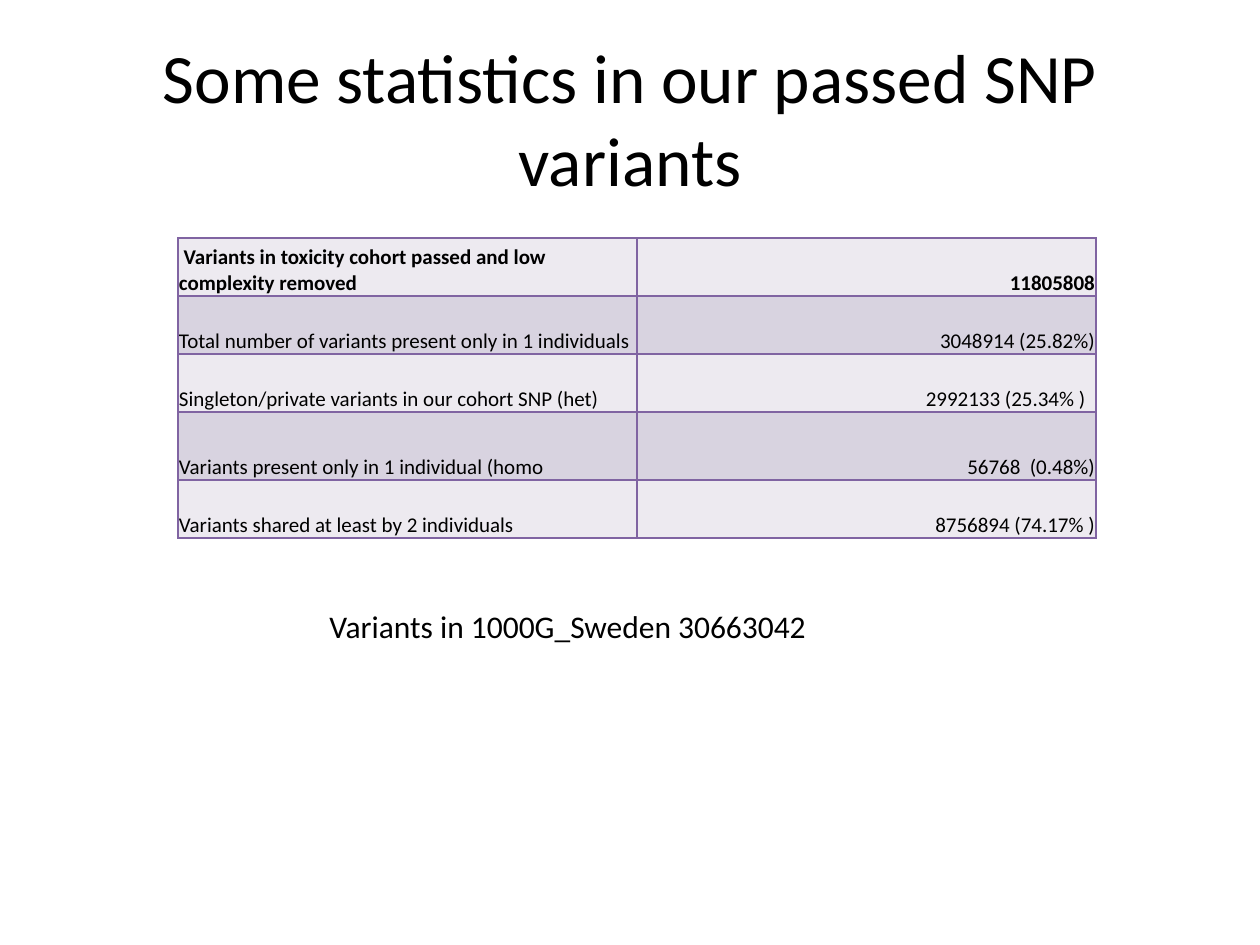
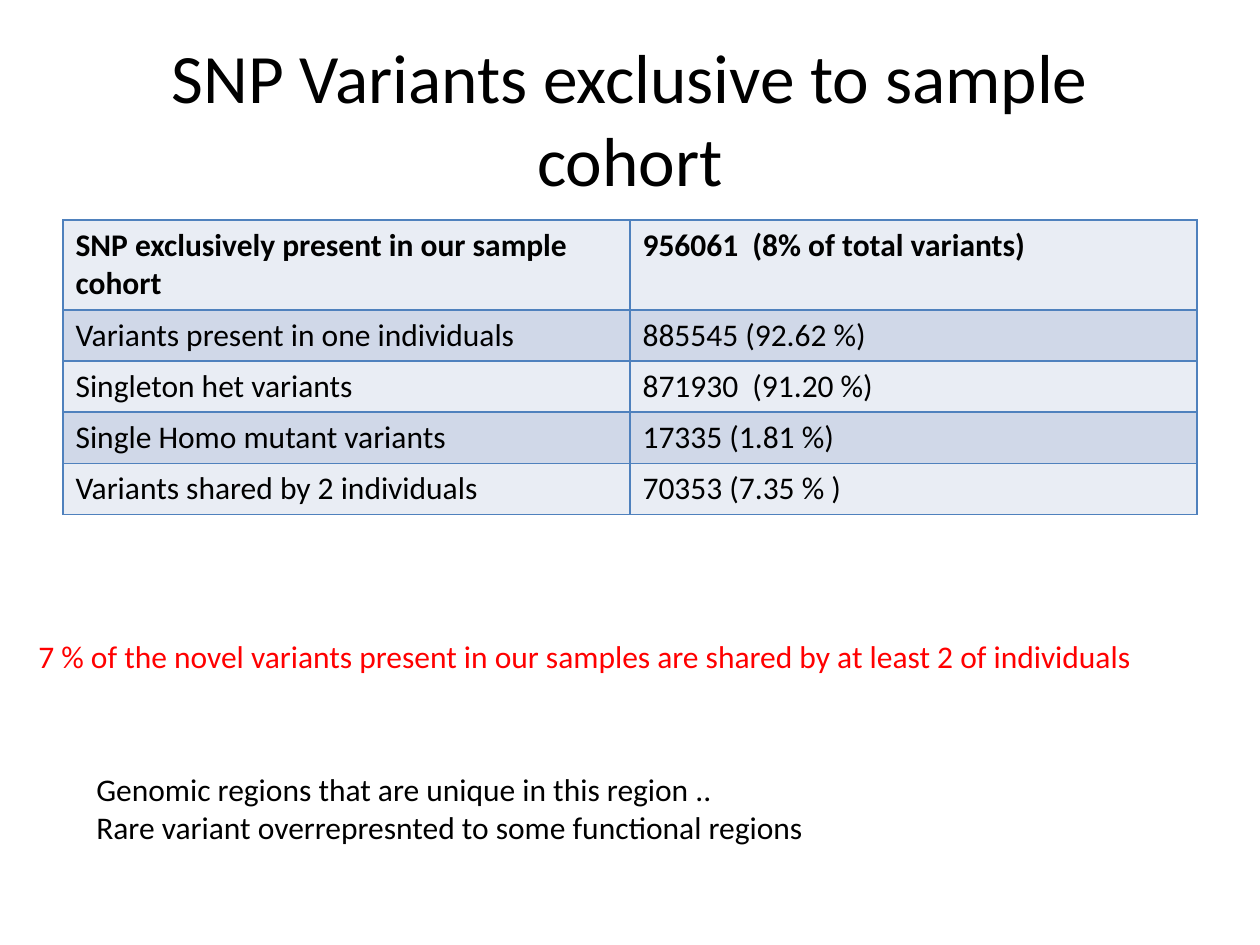
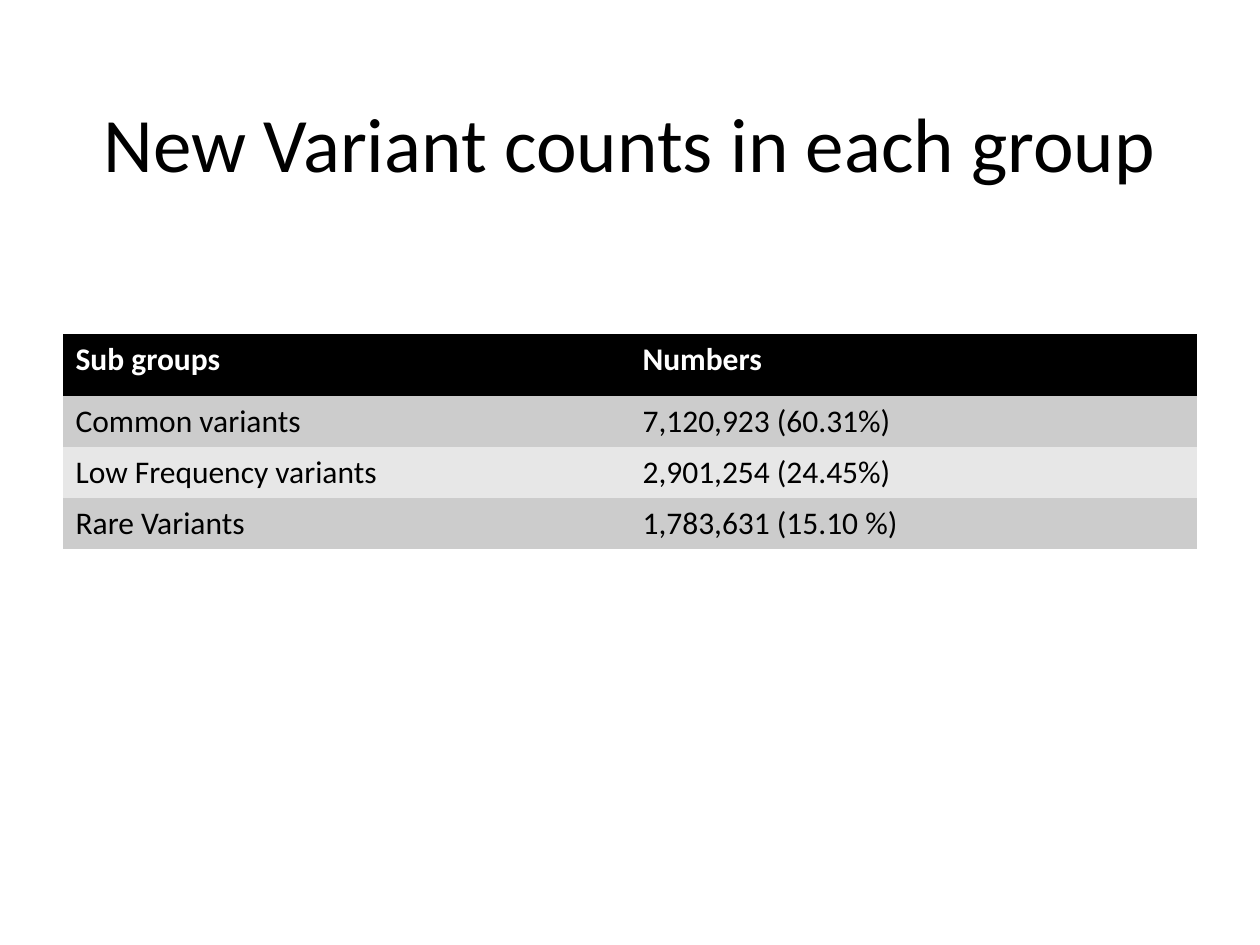
from dataclasses import dataclass
from lxml.etree import SubElement
from pptx import Presentation
from pptx.dml.color import RGBColor
from pptx.enum.text import MSO_ANCHOR, MSO_AUTO_SIZE, PP_ALIGN
from pptx.oxml.ns import qn
from pptx.util import Emu, Pt

PX_PER_INCH = 126


def px(n):
    return Emu(round(n * 914400 / PX_PER_INCH))


# Colours and type sizes
@dataclass(frozen=True)
class Theme:
    font: str = "Calibri"
    ink: str = "000000"
    alert: str = "FF0000"
    white: str = "FFFFFF"
    head: float = 44
    tight: float = 39.6
    body: float = 18
    small: float = 12
    plain: str = "{2D5ABB26-0587-4C30-8999-92F81FD0307C}"  # no style, no grid


@dataclass(frozen=True)
class Look:
    """Fills and borders of one kind of table."""
    top: str
    odd: str
    even: str
    edge: str = ""
    ink: str = Theme.ink


VIOLET = Look("EDEAF0", "D8D3E0", "EDEAF0", "8064A2")
BLUE = Look("E9EDF4", "D0D8E8", "E9EDF4", "4F81BD")
BLACK = Look("000000", "CCCCCC", "E7E7E7", ink=Theme.white)


class Deck:
    def __init__(self, theme):
        self.theme = theme
        self.show = Presentation()
        self.show.slide_width, self.show.slide_height = px(1260), px(945)
        self.slide = None

    def words(self, par, text, size, color, bold=False):
        run = par.add_run()
        run.text = text
        font = run.font
        font.name, font.size, font.bold = self.theme.font, Pt(size), bold
        font.color.rgb = RGBColor.from_string(color)

    # New slide with its title
    def page(self, title, top, size):
        self.slide = self.show.slides.add_slide(self.show.slide_layouts[5])
        head = self.slide.shapes.title
        head.left, head.top, head.width, head.height = map(px, (63, top, 1134, 158))
        frame = head.text_frame
        frame.auto_size = MSO_AUTO_SIZE.NONE
        frame.vertical_anchor = MSO_ANCHOR.MIDDLE
        par = frame.paragraphs[0]
        par.alignment = PP_ALIGN.CENTER
        self.words(par, title, size, self.theme.ink)

    # Free text, one paragraph a line
    def note(self, box, *lines, color=Theme.ink):
        frame = self.slide.shapes.add_textbox(*map(px, box)).text_frame
        frame.word_wrap = True
        for i, line in enumerate(lines):
            par = frame.add_paragraph() if i else frame.paragraphs[0]
            self.words(par, line, self.theme.body, color)

    def edge(self, cell, color):
        props = cell._tc.get_or_add_tcPr()
        for side in ("lnL", "lnR", "lnT", "lnB"):
            line = SubElement(props, qn(f"a:{side}"), w=str(Pt(1)))
            fill = SubElement(line, qn("a:solidFill"))
            SubElement(fill, qn("a:srgbClr"), val=color)

    # Table with equal columns; dense cells sit low, with numbers at the right
    def grid(self, left, top, wide, highs, rows, look, dense=False):
        count = len(rows[0])
        box = map(px, (left, top, wide * count, sum(highs)))
        table = self.slide.shapes.add_table(len(rows), count, *box).table
        table.horz_banding = False
        table._tbl.tblPr.find(qn("a:tableStyleId")).text = self.theme.plain
        for col in table.columns:
            col.width = px(wide)
        for r, (row, high) in enumerate(zip(rows, highs)):
            table.rows[r].height = px(high)
            back = look.top if r == 0 else look.odd if r % 2 else look.even
            for c, text in enumerate(row):
                cell = table.cell(r, c)
                if look.edge:
                    self.edge(cell, look.edge)
                cell.fill.solid()
                cell.fill.fore_color.rgb = RGBColor.from_string(back)
                par = cell.text_frame.paragraphs[0]
                if dense:
                    cell.vertical_anchor = MSO_ANCHOR.BOTTOM
                    cell.margin_left = cell.margin_right = cell.margin_top = px(1)
                    cell.margin_bottom = 0
                    par.alignment = PP_ALIGN.RIGHT if c else PP_ALIGN.LEFT
                size = self.theme.small if dense else self.theme.body
                ink = self.theme.ink if r else look.ink
                self.words(par, text, size, ink, bold=r == 0)


def main():
    theme = Theme()
    deck = Deck(theme)

    # Passed variants
    deck.page("Some statistics in our passed SNP variants", 38, theme.tight)
    deck.grid(178, 238, 459, [58, 58, 58, 68, 58], [
        (" Variants in toxicity cohort passed and low complexity removed", "11805808"),
        ("Total number of variants present only in 1 individuals", "3048914 (25.82%)"),
        ("Singleton/private variants in our cohort SNP (het)", "2992133 (25.34% )  "),
        ("Variants present only in 1 individual (homo", "56768  (0.48%)"),
        ("Variants shared at least by 2 individuals", "8756894 (74.17% )"),
    ], VIOLET, dense=True)
    deck.note((310, 601, 517, 50), " Variants in 1000G_Sweden 30663042")

    # Variants found only in the cohort
    deck.page("SNP Variants exclusive to sample cohort", 38, theme.tight)
    deck.grid(63, 220, 567, [90] + [51] * 4, [
        ("SNP exclusively present in our sample cohort", "956061  (8% of total variants)"),
        ("Variants present in one individuals", "885545 (92.62 %)"),
        ("Singleton het variants", "871930  (91.20 %)"),
        ("Single Homo mutant variants", "17335 (1.81 %)"),
        ("Variants shared by 2 individuals", "70353 (7.35 % )"),
    ], BLUE)
    deck.note((26, 631, 1134, 50),
              "7 % of the novel variants present in our samples are shared by at least 2 of individuals",
              color=theme.alert)
    deck.note((84, 764, 743, 127),
              "Genomic regions that are unique in this region ..",
              "Rare variant overrepresnted to some functional regions")

    # Counts by group
    deck.page("New Variant counts in each group", 63, theme.head)
    deck.grid(63, 334, 567, [62] + [51] * 3, [
        ("Sub groups", "Numbers"),
        ("Common variants", "7,120,923 (60.31%)"),
        ("Low Frequency variants", "2,901,254 (24.45%)"),
        ("Rare Variants", "1,783,631 (15.10 %)"),
    ], BLACK)

    deck.show.save("out.pptx")


if __name__ == "__main__":
    main()
